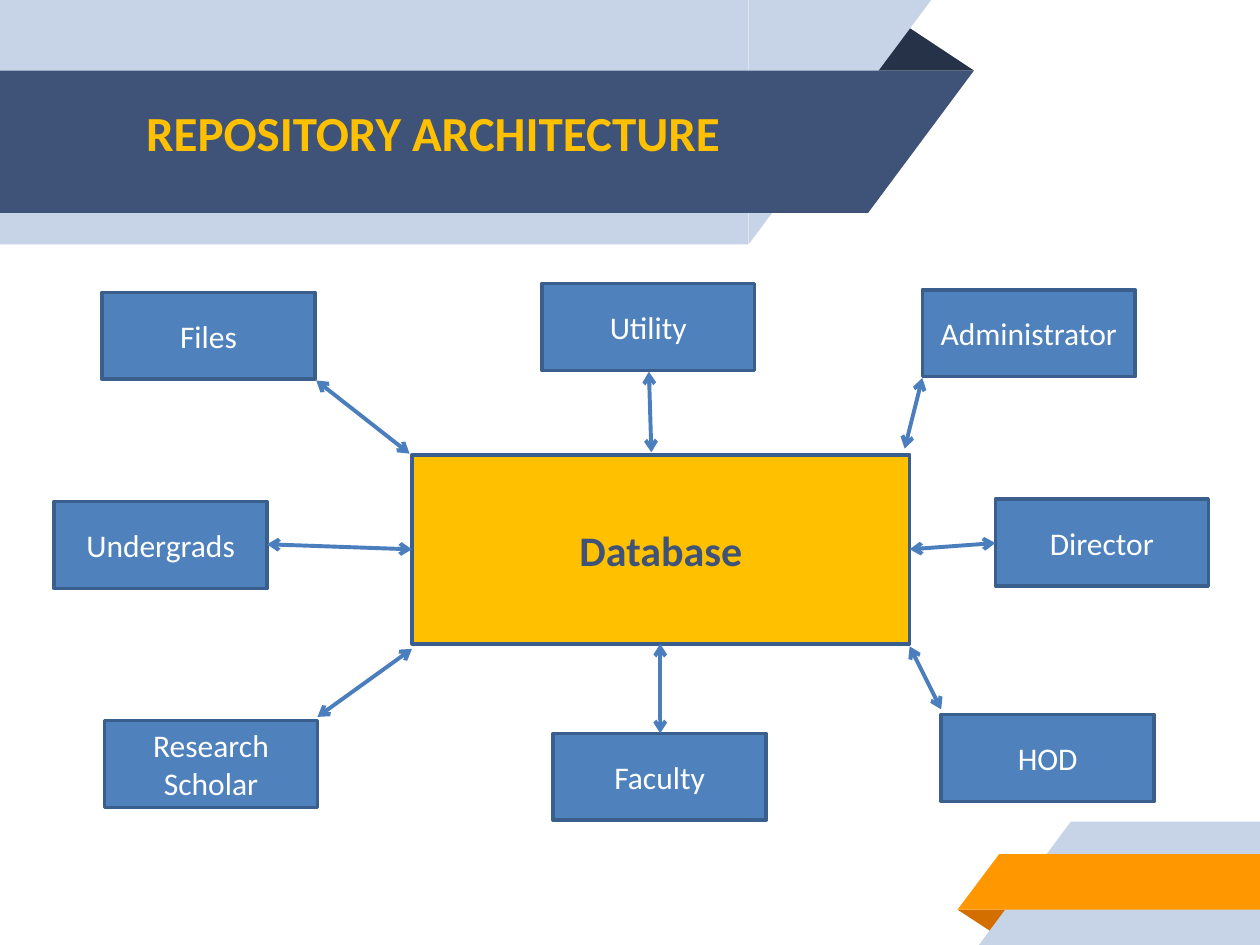
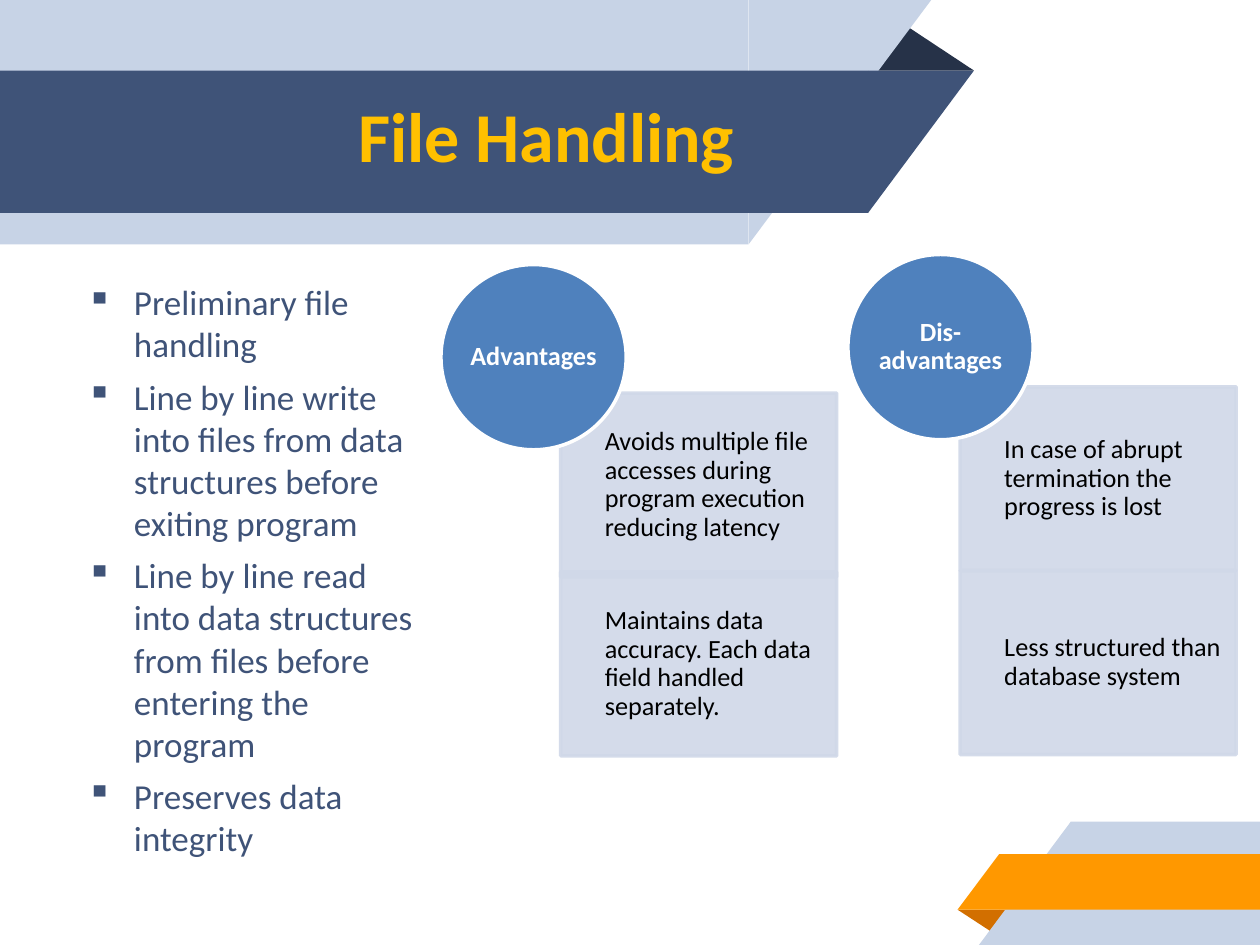
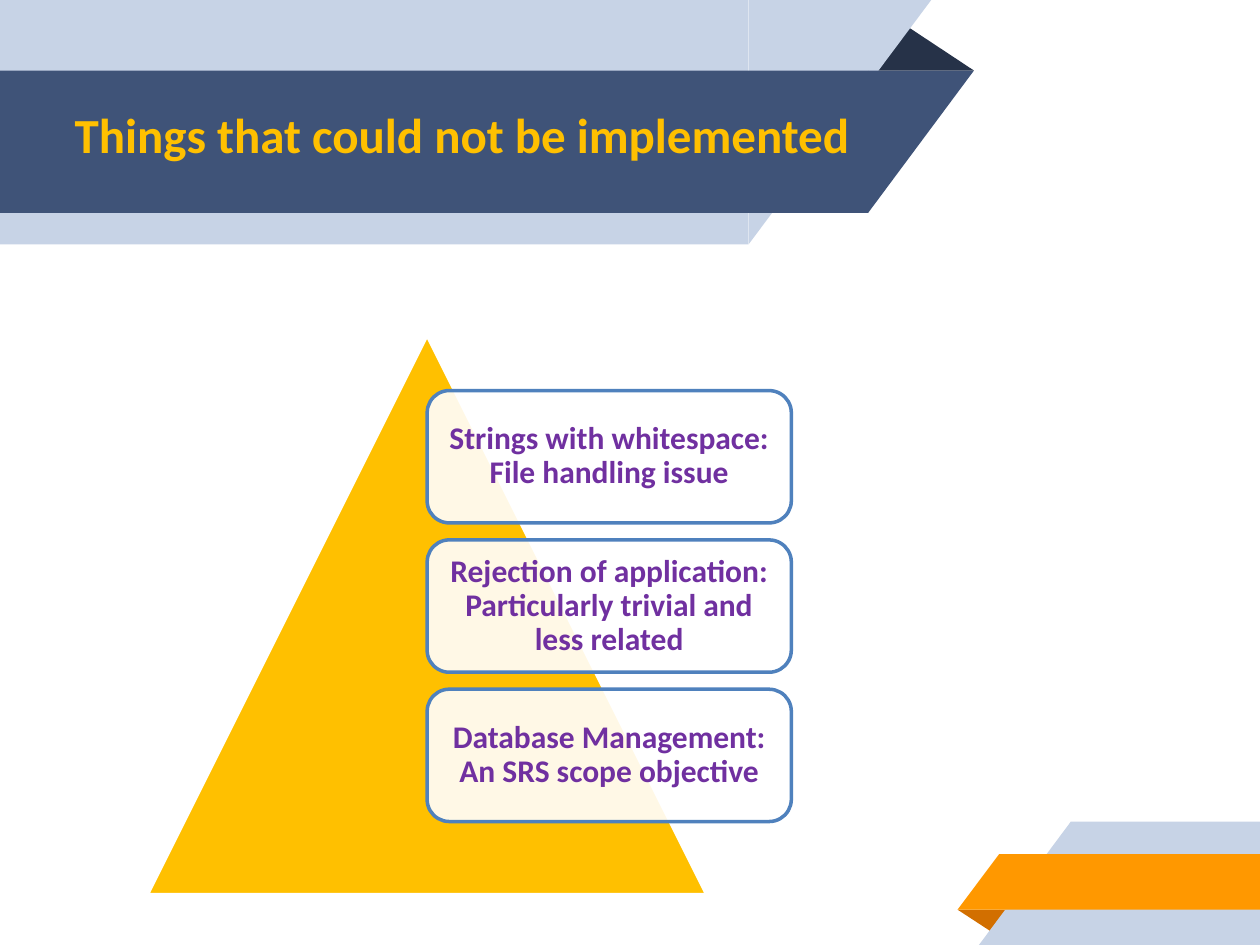
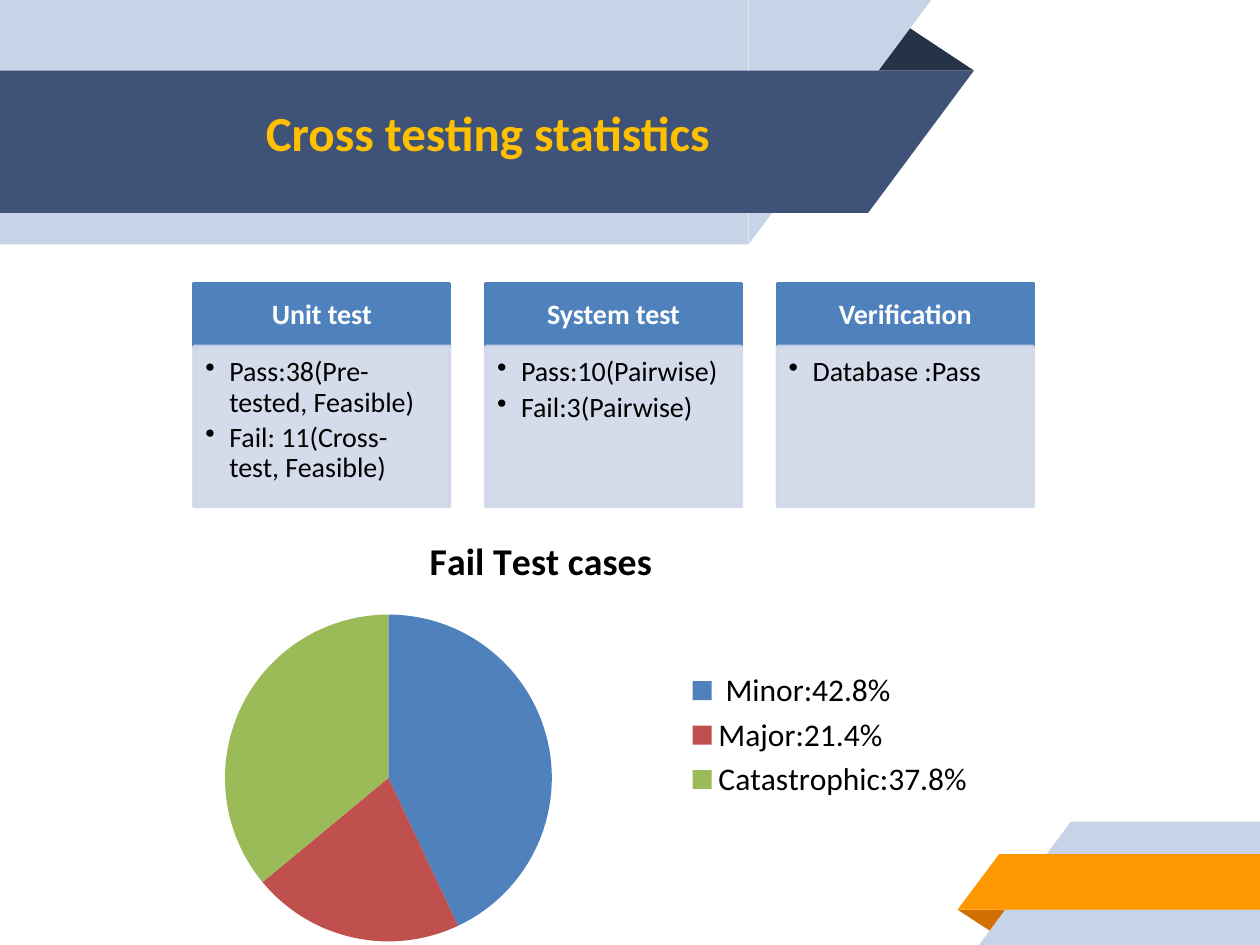
from lxml.etree import SubElement
from pptx import Presentation
from pptx.chart.data import CategoryChartData
from pptx.dml.color import RGBColor
from pptx.enum.chart import XL_CHART_TYPE, XL_LEGEND_POSITION
from pptx.enum.shapes import MSO_CONNECTOR, MSO_SHAPE
from pptx.enum.text import MSO_ANCHOR, MSO_AUTO_SIZE, PP_ALIGN
from pptx.oxml.ns import qn
from pptx.util import Emu, Inches, Pt

# Square grid: 100 columns by 75 rows cover the slide
COLUMNS, ROWS = 100, 75
CELL = Inches(0.1)

FONT = "Calibri"
NAVY, DARK_NAVY, PALE = "3F5378", "263248", "C7D3E6"
ORANGE, DARK_ORANGE, GOLD = "FF9800", "D26F00", "FFC000"
BLUE, BLUE_EDGE, ARROW_BLUE, PANEL = "4F81BD", "3A5F8C", "4B7EBC", "D0D8E8"
RED, GREEN, PURPLE = "C0504D", "9BBB59", "7030A0"
WHITE, BLACK = "FFFFFF", "000000"

CENTER, LEFT = PP_ALIGN.CENTER, PP_ALIGN.LEFT
MIDDLE, TOP = MSO_ANCHOR.MIDDLE, MSO_ANCHOR.TOP


def cells(*counts):
    return [Emu(round(count * CELL)) for count in counts]


def rgb(color):
    return RGBColor.from_string(color)


def style_font(font, size, color, bold=False):
    font.name, font.size, font.bold = FONT, Pt(size), bold
    font.color.rgb = rgb(color)


def write(frame, paragraphs, size=18, color=WHITE, bold=False, align=CENTER,
          anchor=MIDDLE, margins=(1, 0.5, 1, 0.5), spacing=None, after=0,
          bullet=None, indent=0):
    """Fill a text frame; margins and indent are in grid cells."""
    frame.word_wrap = True
    frame.auto_size = MSO_AUTO_SIZE.NONE
    frame.vertical_anchor = anchor
    (frame.margin_left, frame.margin_top,
     frame.margin_right, frame.margin_bottom) = cells(*margins)
    for index, line in enumerate(paragraphs):
        paragraph = frame.add_paragraph() if index else frame.paragraphs[0]
        paragraph.alignment = align
        paragraph.space_before, paragraph.space_after = Pt(0), Pt(after)
        if spacing:
            paragraph.line_spacing = spacing
        run = paragraph.add_run()
        run.text = line
        style_font(run.font, size, color, bold)
        if bullet:
            hang = cells(indent)[0]
            properties = paragraph._p.get_or_add_pPr()
            properties.set("marL", str(hang))
            properties.set("indent", str(-hang))
            SubElement(properties, qn("a:buChar")).set("char", bullet)


def add_block(slide, kind, place, fill, edge=None, opacity=None):
    """Add a preset shape; opacity applies to every part in the fill colour."""
    block = slide.shapes.add_shape(kind, *cells(*place))
    block.shadow.inherit = False
    block.fill.solid()
    block.fill.fore_color.rgb = rgb(fill)
    if edge:
        block.line.color.rgb = rgb(edge)
        block.line.width = Pt(2)
    else:
        block.line.fill.background()
    if opacity:
        for part in block.element.spPr.iter(qn("a:srgbClr")):
            if part.get("val") == fill:
                SubElement(part, qn("a:alpha")).set("val", str(opacity * 1000))
    return block


def add_arrow(slide, start, end):
    arrow = slide.shapes.add_connector(MSO_CONNECTOR.STRAIGHT, *cells(*start, *end))
    arrow.line.color.rgb = rgb(ARROW_BLUE)
    arrow.line.width = Pt(2.25)
    outline = arrow.line._get_or_add_ln()
    for tip in ("a:headEnd", "a:tailEnd"):
        SubElement(outline, qn(tip)).set("type", "arrow")
    SubElement(arrow.element.spPr, qn("a:effectLst"))


def add_bands(slide, layout):
    """Draw the ribbons and move them behind the layout's placeholders."""
    rect, corner, fold = (MSO_SHAPE.RECTANGLE, MSO_SHAPE.RIGHT_TRIANGLE,
                          MSO_SHAPE.ISOSCELES_TRIANGLE)
    bands = [  # kind, place, colour, rotation, mirrored
        (fold, (68.8, 1.8, 8.5, 3.8), DARK_NAVY, 0, False),
        (rect, (0, 0, 59.4, 19.4), PALE, 180, True),
        (corner, (59.4, 0, 14.5, 19.4), PALE, 180, True),
        (rect, (0, 5.6, 68.9, 11.3), NAVY, 180, True),
        (corner, (68.9, 5.6, 8.4, 11.3), NAVY, 180, True),
        (fold, (76, 72.2, 4.3, 1.9), DARK_ORANGE, 180, False),
        (rect, (85, 65.2, 15, 9.8), PALE, 0, True),
        (corner, (77.7, 65.2, 7.3, 9.8), PALE, 0, True),
        (rect, (79.3, 67.8, 20.7, 4.4), ORANGE, 0, True),
        (corner, (76, 67.8, 3.3, 4.4), ORANGE, 0, True),
    ]
    for index, (kind, place, color, rotation, mirrored) in enumerate(bands):
        band = add_block(slide, kind, place, color)
        band.rotation = rotation
        if kind == fold:
            band.adjustments[0] = 0.324
        if mirrored:
            band.element.spPr.xfrm.set("flipH", "1")
        band.element.nvSpPr.cNvPr.set("id", str(100 + index))
        layout.shapes.element.insert(2 + index, band.element)


def set_title(slide, words, place, size=28, **style):
    title = slide.shapes.title
    title.left, title.top, title.width, title.height = cells(*place)
    write(title.text_frame, [words], size=size, color=GOLD, bold=True, **style)


def build_architecture(slide):
    set_title(slide, "REPOSITORY ARCHITECTURE", (10.6, 7.6, 60.1, 5.7),
              align=LEFT, anchor=TOP)
    database = add_block(slide, MSO_SHAPE.RECTANGLE, (32.7, 36.1, 39.5, 15),
                         GOLD, BLUE_EDGE)
    write(database.text_frame, ["Database"], size=24, color=NAVY, bold=True)

    # Each client: name lines, corner, and its arrow to the database
    clients = [
        (["Utility"], (43, 22.5), (51.5, 29.5), (51.7, 35.9)),
        (["Administrator"], (73.2, 23), (73.2, 30), (71.8, 35.6)),
        (["Files"], (8.1, 23.2), (25.1, 30.2), (32.5, 36)),
        (["Research", "Scholar"], (8.3, 57.2), (25.2, 56.9), (32.7, 51.5)),
        (["Faculty"], (43.9, 58.2), (52.4, 58.2), (52.4, 51.1)),
        (["HOD"], (74.7, 56.7), (74.7, 56.3), (72.2, 51.3)),
        (["Director"], (79, 39.6), (79, 43.1), (72.2, 43.6)),
        (["Undergrads"], (4.3, 39.8), (21.2, 43.2), (32.7, 43.6)),
    ]
    for name, corner, start, end in clients:
        client = add_block(slide, MSO_SHAPE.RECTANGLE, (*corner, 16.9, 6.9),
                           BLUE, BLUE_EDGE)
        write(client.text_frame, name)
        add_arrow(slide, start, end)


def add_verdict(slide, heading, circle, panel, step, points):
    """Stacked panels of points with a round heading over their corner."""
    left, top = panel
    for row, point in enumerate(points):
        box = add_block(slide, MSO_SHAPE.RECTANGLE,
                        (left, top + row * step, 21.9, 14.6), PANEL, PANEL, 90)
        write(box.text_frame, [point], size=15, color=BLACK, align=LEFT,
              margins=(3.5, 1.2, 1.2, 1.2), spacing=0.9)
    badge = add_block(slide, MSO_SHAPE.OVAL, (*circle, 14.7, 14.7), BLUE, WHITE)
    write(badge.text_frame, [heading], size=15, bold=True,
          margins=(0, 0, 0, 0), spacing=0.9)


def build_file_handling(slide):
    set_title(slide, "File Handling", (0, 5.2, 86.7, 10.9), size=40,
              margins=(1, 1, 1, 1))
    summary = slide.shapes.add_textbox(*cells(5.9, 21.8, 28, 47.3))
    write(summary.text_frame, [
        "Preliminary file handling",
        "Line by line write into files from data structures before exiting program",
        "Line by line read into data structures from files before entering the program",
        "Preserves data integrity",
    ], size=20, color=NAVY, align=LEFT, anchor=TOP, after=6, bullet="▪", indent=3.75)

    add_verdict(slide, "Advantages", (35, 21), (44.5, 31.2), 14.2, [
        "Avoids multiple file accesses during program execution reducing latency",
        "Maintains data accuracy. Each data field handled separately.",
    ])
    add_verdict(slide, "Dis-advantages", (67.3, 20.2), (76.2, 30.7), 14.6, [
        "In case of abrupt termination the progress is lost",
        "Less structured than database system",
    ])


def build_not_implemented(slide):
    set_title(slide, "Things that could not be implemented",
              (-6.7, 5.2, 86.7, 10.9), margins=(1, 1, 1, 1))
    add_block(slide, MSO_SHAPE.ISOSCELES_TRIANGLE, (11.7, 26.6, 44.4, 44.4),
              GOLD, WHITE)
    issues = [
        "Strings with whitespace: File handling issue",
        "Rejection of application: Particularly trivial and less related",
        "Database Management: An SRS scope objective",
    ]
    for row, issue in enumerate(issues):
        card = add_block(slide, MSO_SHAPE.ROUNDED_RECTANGLE,
                         (33.9, 31 + row * 11.85, 28.9, 10.5), WHITE, BLUE, 90)
        write(card.text_frame, [issue], color=PURPLE, bold=True,
              margins=(0.7, 0.7, 0.7, 0.7), spacing=0.9)


def add_fail_chart(slide):
    data = CategoryChartData()
    data.categories = [" Minor:42.8%", "Major:21.4%", "Catastrophic:37.8%"]
    data.add_series("Fail Test cases", (43, 21, 36))
    chart = slide.shapes.add_chart(XL_CHART_TYPE.PIE,
                                   *cells(7.5, 40.6, 70.9, 35.5), data).chart
    style_font(chart.font, 18, BLACK)
    chart.has_title = True
    heading = chart.chart_title.text_frame.paragraphs[0].add_run()
    heading.text = "Fail Test cases"
    style_font(heading.font, 21.6, BLACK, bold=True)
    chart.has_legend = True
    chart.legend.position = XL_LEGEND_POSITION.RIGHT
    chart.legend.include_in_layout = False
    pie = chart.plots[0]
    pie.vary_by_categories = True
    for index, color in enumerate((BLUE, RED, GREEN)):
        slice_fill = pie.series[0].points[index].format.fill
        slice_fill.solid()
        slice_fill.fore_color.rgb = rgb(color)


def build_statistics(slide):
    set_title(slide, "Cross testing statistics", (20.1, 7.6, 50.3, 5.7),
              align=LEFT, anchor=TOP)
    tests = [
        ("Unit test", ["Pass:38(Pre-tested, Feasible)",
                       "Fail: 11(Cross-test, Feasible)"]),
        ("System test", ["Pass:10(Pairwise)", "Fail:3(Pairwise)"]),
        ("Verification", ["Database :Pass"]),
    ]
    for column, (name, results) in enumerate(tests):
        left = 15.4 + column * 23.15
        header = add_block(slide, MSO_SHAPE.RECTANGLE, (left, 22.5, 20.3, 5),
                           BLUE, BLUE)
        write(header.text_frame, [name], size=16, bold=True,
              margins=(1.2, 0.7, 1.2, 0.7), spacing=0.9)
        body = add_block(slide, MSO_SHAPE.RECTANGLE, (left, 27.5, 20.3, 12.7),
                         PANEL, PANEL, 90)
        write(body.text_frame, results, size=16, color=BLACK, align=LEFT,
              anchor=TOP, margins=(0.9, 0.9, 1.2, 1.4), spacing=0.9, after=3,
              bullet="•", indent=1.9)
    add_fail_chart(slide)


def main():
    deck = Presentation()
    deck.slide_width, deck.slide_height = cells(COLUMNS, ROWS)
    title_only = deck.slide_layouts[5]
    builders = (build_architecture, build_file_handling,
                build_not_implemented, build_statistics)
    for index, build in enumerate(builders):
        slide = deck.slides.add_slide(title_only)
        if index == 0:
            add_bands(slide, title_only)
        build(slide)
    deck.save("out.pptx")


if __name__ == "__main__":
    main()
